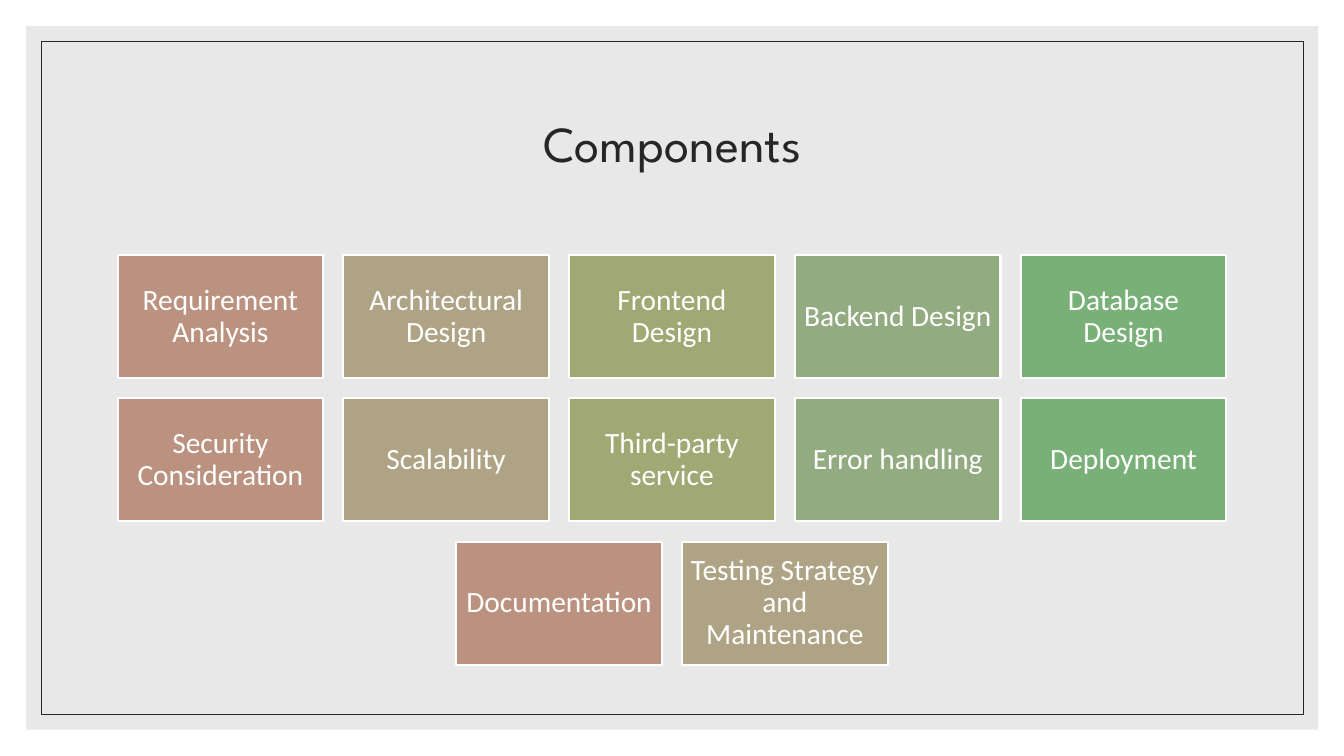
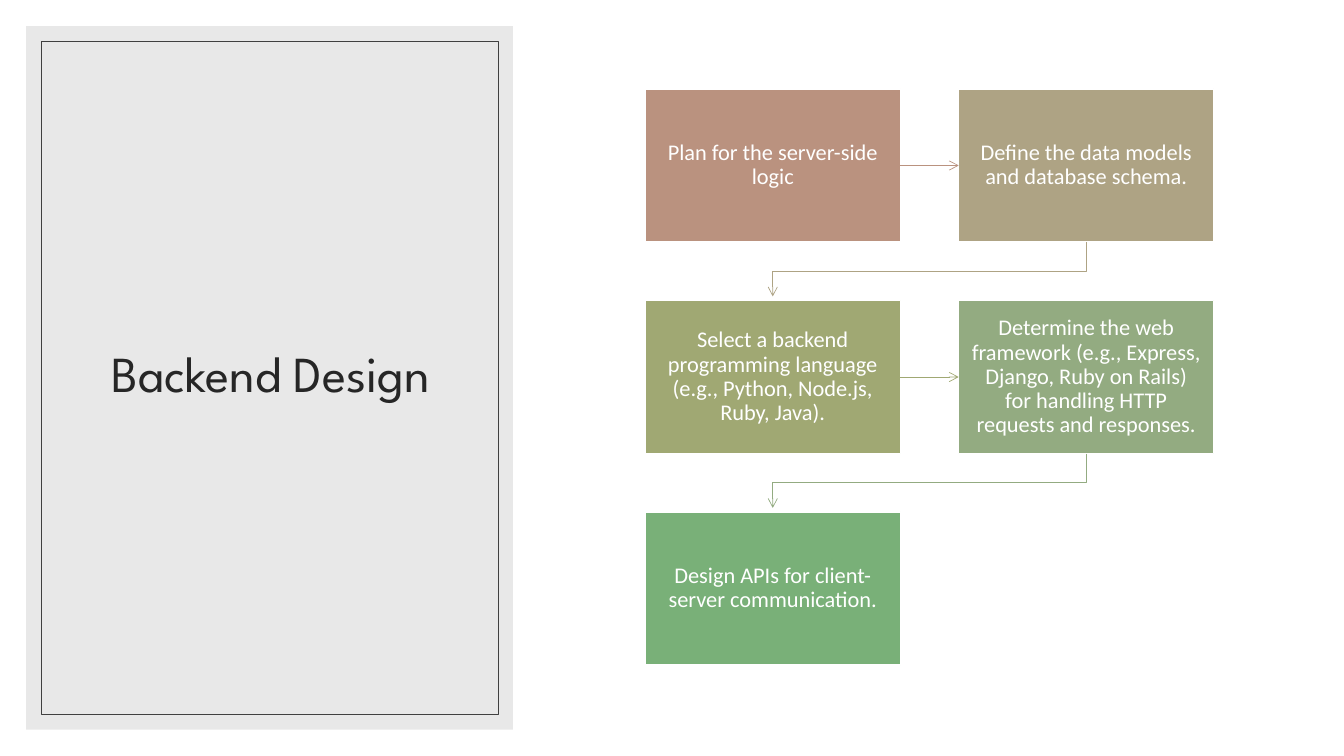
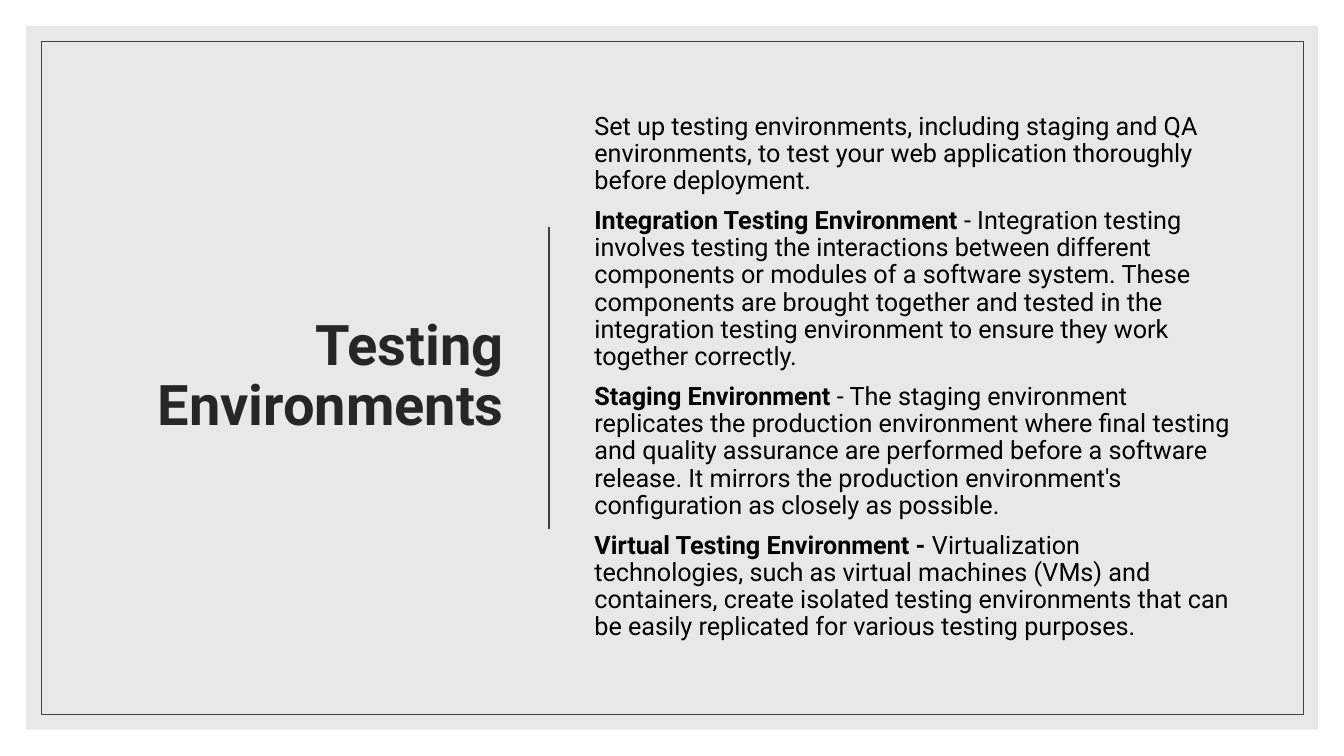
import pptx
import pptx.dml.color
import pptx.enum.shapes
import pptx.enum.text
import pptx.oxml
import pptx.oxml.ns
import pptx.util

Cm = pptx.util.Cm
Pt = pptx.util.Pt
ALIGN = pptx.enum.text.PP_ALIGN
MIDDLE = pptx.enum.text.MSO_ANCHOR.MIDDLE
NO_FIT = pptx.enum.text.MSO_AUTO_SIZE.NONE
RECTANGLE = pptx.enum.shapes.MSO_SHAPE.RECTANGLE
STRAIGHT = pptx.enum.shapes.MSO_CONNECTOR.STRAIGHT

PAGE_WIDTH, PAGE_HEIGHT = 33.87, 19.05
PALETTE = ["BA927F", "AEA384", "A0A873", "93AB81", "79B078"]
WHITE, BLACK, DARK, GREY, PANEL = "FFFFFF", "000000", "262626", "404040", "D9D9D9"


def colour(value):
    return pptx.dml.color.RGBColor.from_string(value)


def drawing_element(tag, **attributes):
    element = pptx.oxml.parse_xml(f"<a:{tag} {pptx.oxml.ns.nsdecls('a')}/>")
    for name, value in attributes.items():
        element.set(name, value)
    return element


class Pages:
    """Holds the shared style and the slide being drawn."""

    def __init__(self):
        self.deck = pptx.Presentation()
        self.deck.slide_width = Cm(PAGE_WIDTH)
        self.deck.slide_height = Cm(PAGE_HEIGHT)
        self.page = None

    def new_page(self, panel_width=32.56, frame_colour=GREY):
        """Start a title-only slide with its grey panel and thin frame."""
        self.page = self.deck.slides.add_slide(self.deck.slide_layouts[5])
        panel = self.rectangle(0.66, 0.66, panel_width, 17.73, fill=PANEL)
        fill = panel.element.spPr.find(pptx.oxml.ns.qn("a:solidFill"))
        fill[0].append(drawing_element("alpha", val="60000"))
        self.rectangle(1.04, 1.04, panel_width - 0.76, 16.97, line=frame_colour, weight=0.5)

    def rectangle(self, left, top, width, height, fill=None, line=None, weight=1):
        box = self.page.shapes.add_shape(RECTANGLE, Cm(left), Cm(top), Cm(width), Cm(height))
        box.shadow.inherit = False
        if fill:
            box.fill.solid()
            box.fill.fore_color.rgb = colour(fill)
        else:
            box.fill.background()
        self.outline(box.line, line, weight)
        return box

    def outline(self, line, value, weight):
        if value:
            line.color.rgb = colour(value)
            line.width = Pt(weight)
        else:
            line.fill.background()

    def frame_style(self, frame):
        frame.word_wrap = True
        frame.auto_size = NO_FIT
        frame.vertical_anchor = MIDDLE

    def style(self, para, font, size, value, align, bold=False):
        para.alignment = align
        para.line_spacing = 0.9
        for span in para.runs:
            span.font.name = font
            span.font.size = Pt(size)
            span.font.bold = bold
            span.font.color.rgb = colour(value)

    def title(self, text, left, top, width, height,
              font="League Spartan", size=36, align=ALIGN.CENTER, bold=False):
        box = self.page.shapes.title
        self.page.shapes[-1].element.addnext(box.element)  # above the panel
        box.left, box.top, box.width, box.height = Cm(left), Cm(top), Cm(width), Cm(height)
        self.frame_style(box.text_frame)
        box.text_frame.text = text
        self.style(box.text_frame.paragraphs[0], font, size, DARK, align, bold)

    def tile(self, text, left, top, width, height, fill, size, weight, inset):
        box = self.rectangle(left, top, width, height, fill, WHITE, weight)
        frame = box.text_frame
        self.frame_style(frame)
        frame.margin_left = frame.margin_right = Cm(inset)
        frame.margin_top = frame.margin_bottom = Cm(inset)
        frame.text = text
        self.style(frame.paragraphs[0], "Calibri", size, WHITE, ALIGN.CENTER)
        return box

    def body(self, paragraphs, left, top, width, height):
        """Each paragraph is a bold lead followed by plain text."""
        box = self.page.shapes.add_textbox(Cm(left), Cm(top), Cm(width), Cm(height))
        frame = box.text_frame
        self.frame_style(frame)
        for index, (lead, text) in enumerate(paragraphs):
            para = frame.add_paragraph() if index else frame.paragraphs[0]
            if index:
                para.space_before = Pt(9)
            for part in filter(None, (lead, text)):
                para.add_run().text = part
            self.style(para, "Roboto", 18, BLACK, ALIGN.LEFT)
            para.runs[0].font.bold = bool(lead)

    def connector(self, x1, y1, x2, y2, value, weight):
        line = self.page.shapes.add_connector(STRAIGHT, Cm(x1), Cm(y1), Cm(x2), Cm(y2))
        self.outline(line.line, value, weight)
        line.element.spPr.append(drawing_element("effectLst"))
        return line

    def arrowhead(self, shape):
        outline = shape.element.spPr.find(pptx.oxml.ns.qn("a:ln"))
        outline.append(drawing_element("tailEnd", type="arrow"))

    def arrow_across(self, start, end, value):
        line = self.connector(0, 0, 1, 1, value, 0.5)
        line.begin_connect(start, 3)
        line.end_connect(end, 1)
        self.arrowhead(line)

    def arrow_down(self, start, end, value):
        """Bent arrow from under one box to just above a box in the next row."""
        x1, y1 = start.left + start.width // 2, start.top + start.height
        x2, y2 = end.left + end.width // 2, end.top - Cm(0.1)
        bend = (y1 + end.top) // 2
        builder = self.page.shapes.build_freeform(x1, y1)
        builder.add_line_segments([(x1, bend), (x2, bend), (x2, y2)], close=False)
        route = builder.convert_to_shape()
        route.shadow.inherit = False
        route.fill.background()
        self.outline(route.line, value, 0.5)
        self.arrowhead(route)


def components(pages):
    pages.new_page(frame_colour=DARK)
    pages.title("Components", 2.97, 1.78, 27.94, 3.81)
    names = [
        "Requirement Analysis", "Architectural Design", "Frontend Design",
        "Backend Design", "Database Design", "Security Consideration",
        "Scalability", "Third-party service", "Error handling", "Deployment",
        "Documentation", "Testing Strategy and Maintenance",
    ]
    # Rows of five, each row centred on the slide
    width, height, gap, columns = 5.18, 3.1, 0.51, 5
    for first in range(0, len(names), columns):
        row = names[first:first + columns]
        left = (PAGE_WIDTH - len(row) * (width + gap) + gap) / 2
        top = 6.43 + first // columns * (height + gap)
        for column, name in enumerate(row):
            pages.tile(name, left + column * (width + gap), top, width, height,
                       PALETTE[column], size=21, weight=1.5, inset=0.22)


def backend_design(pages):
    pages.new_page(panel_width=12.27)
    pages.title("Backend Design", 1.6, 1.55, 10.46, 15.85)
    steps = [
        "Plan for the server-side logic",
        "Define the data models and database schema.",
        "Select a backend programming language (e.g., Python, Node.js, Ruby, Java).",
        "Determine the web framework (e.g., Express, Django, Ruby on Rails) "
        "for handling HTTP requests and responses.",
        "Design APIs for client-server communication.",
    ]
    # Two columns, read row by row
    boxes = []
    for index, step in enumerate(steps):
        row, column = divmod(index, 2)
        boxes.append(pages.tile(step, 16.26 + column * 7.9, 2.24 + row * 5.33, 6.43, 3.86,
                                PALETTE[index], size=16, weight=1, inset=0.3))
    # Arrows from each step to the next
    for index, (start, end) in enumerate(zip(boxes, boxes[1:])):
        draw = pages.arrow_down if index % 2 else pages.arrow_across
        draw(start, end, PALETTE[index])


def testing_environments(pages):
    pages.new_page()
    pages.title("Testing Environments", 2, 2.46, 10.95, 14.1,
                font="Roboto", size=40, align=ALIGN.RIGHT, bold=True)
    pages.connector(13.84, 5.72, 13.84, 13.34, GREY, 1.25)
    pages.body([
        ("", "Set up testing environments, including staging and QA environments, "
             "to test your web application thoroughly before deployment."),
        ("Integration Testing Environment",
         " - Integration testing involves testing the interactions between different "
         "components or modules of a software system. These components are brought "
         "together and tested in the integration testing environment to ensure they "
         "work together correctly."),
        ("Staging Environment",
         " - The staging environment replicates the production environment where final "
         "testing and quality assurance are performed before a software release. It "
         "mirrors the production environment's configuration as closely as possible."),
        ("Virtual Testing Environment - ",
         "Virtualization technologies, such as virtual machines (VMs) and containers, "
         "create isolated testing environments that can be easily replicated for "
         "various testing purposes."),
    ], 14.73, 2.46, 16.61, 14.1)


def main():
    pages = Pages()
    components(pages)
    backend_design(pages)
    testing_environments(pages)
    pages.deck.save("out.pptx")


if __name__ == "__main__":
    main()
